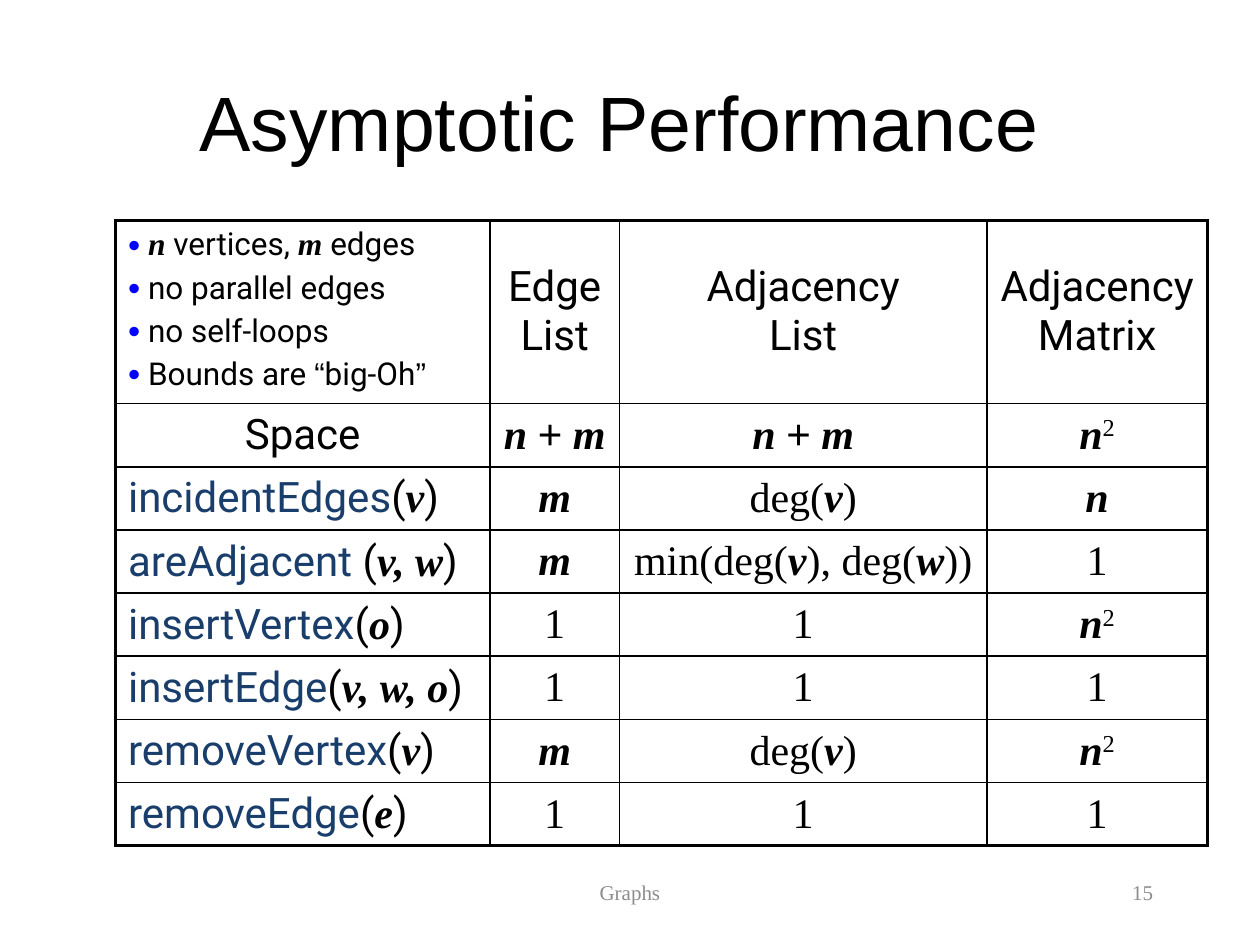
from dataclasses import dataclass

from lxml.etree import SubElement
from pptx import Presentation
from pptx.dml.color import RGBColor as RGB
from pptx.enum.text import MSO_ANCHOR as ANCHOR, PP_ALIGN as ALIGN
from pptx.oxml.ns import qn
from pptx.util import Pt


@dataclass(frozen=True)
class Theme:
    ink: str = "000000"
    method: str = "1A3E6C"
    bullet: str = "0000FF"
    muted: str = "8C8C8C"
    title_size: float = 44
    body_size: float = 24
    note_size: float = 18
    footer_size: float = 12
    sans: str = "Roboto"
    title_font: str = "Arial"
    serif: str = "Times New Roman"
    inner_line: float = 1
    outer_line: float = 2.25


THEME = Theme()


@dataclass(frozen=True)
class Style:
    font: str
    color: str = THEME.ink
    strong: bool = False
    raised: bool = False


LABEL = Style(THEME.sans)
METHOD = Style(THEME.sans, THEME.method)
VARIABLE = Style(THEME.serif, strong=True)
MATH = Style(THEME.serif)
POWER = Style(THEME.serif, raised=True)
SYMBOL = Style(THEME.title_font)
FOOTER = Style(THEME.serif, THEME.muted)

SUM = [("n ", VARIABLE), ("+", SYMBOL), (" m", VARIABLE)]
SQUARE = [("n", VARIABLE), ("2", POWER)]
DEGREE = [("deg(", MATH), ("v", VARIABLE), (")", MATH)]
MIN_DEGREE = [("min(deg(", MATH), ("v", VARIABLE), ("), deg(", MATH),
              ("w", VARIABLE), ("))", MATH)]
ONE = [("1", MATH)]
EDGES = [("m", VARIABLE)]
VERTICES = [("n", VARIABLE)]

ASSUMPTIONS = [
    [("n", VARIABLE), (" vertices, ", LABEL), ("m", VARIABLE), (" edges", LABEL)],
    [("no parallel edges", LABEL)],
    [("no self-loops", LABEL)],
    [("Bounds are ", LABEL), ("“", SYMBOL), ("big-Oh", LABEL), ("”", SYMBOL)],
]
STRUCTURES = ["Edge\nList", "Adjacency\nList", "Adjacency Matrix"]
OPERATIONS = [
    ("incidentEdges", "v", EDGES, DEGREE, VERTICES),
    ("areAdjacent ", "v, w", EDGES, MIN_DEGREE, ONE),
    ("insertVertex", "o", ONE, ONE, SQUARE),
    ("insertEdge", "v, w, o", ONE, ONE, ONE),
    ("removeVertex", "v", EDGES, DEGREE, SQUARE),
    ("removeEdge", "e", ONE, ONE, ONE),
]
COLUMN_WIDTHS = [214, 74, 210, 126]
ROW_HEIGHTS = [103, 36.5] + [35.8] * len(OPERATIONS)


def write(paragraph, pieces, size, align=ALIGN.CENTER):
    """Add (text, style) pieces as runs; a newline becomes a line break."""
    paragraph.alignment = align
    for text, style in pieces:
        for index, line in enumerate(text.split("\n")):
            if index:
                paragraph.add_line_break()
            run = paragraph.add_run()
            run.text = line
            run.font.name = style.font
            run.font.size = Pt(size)
            run.font.bold = run.font.italic = style.strong
            run.font.color.rgb = RGB.from_string(style.color)
            if style.raised:
                run._r.get_or_add_rPr().set("baseline", "30000")


def add_label(slide, box, text, style, size, align=ALIGN.CENTER):
    frame = slide.shapes.add_textbox(*map(Pt, box)).text_frame
    frame.word_wrap = True
    frame.vertical_anchor = ANCHOR.MIDDLE
    write(frame.paragraphs[0], [(text, style)], size, align)


def add_bullet(paragraph):
    properties = paragraph._p.get_or_add_pPr()
    properties.set("marL", str(Pt(11.4)))
    properties.set("indent", str(-Pt(11.4)))
    color = SubElement(properties, qn("a:buClr"))
    SubElement(color, qn("a:srgbClr"), val=THEME.bullet)
    SubElement(properties, qn("a:buSzPct"), val="110000")
    SubElement(properties, qn("a:buFont"), typeface=THEME.title_font)
    SubElement(properties, qn("a:buChar"), char="•")


def write_assumptions(cell):
    cell.vertical_anchor = ANCHOR.TOP
    frame = cell.text_frame
    for index, pieces in enumerate(ASSUMPTIONS):
        paragraph = frame.add_paragraph() if index else frame.paragraphs[0]
        if index:
            paragraph.space_before = Pt(THEME.note_size * 0.2)
        add_bullet(paragraph)
        write(paragraph, pieces, THEME.note_size, ALIGN.LEFT)


def style_cell(cell, row, column):
    """Draw thick lines on the table's outer edge, thin ones inside."""
    outer = {
        "L": column == 0,
        "R": column == len(COLUMN_WIDTHS) - 1,
        "T": row == 0,
        "B": row == len(ROW_HEIGHTS) - 1,
    }
    properties = cell._tc.get_or_add_tcPr()
    for side, is_outer in outer.items():
        width = THEME.outer_line if is_outer else THEME.inner_line
        line = SubElement(properties, qn(f"a:ln{side}"), w=str(Pt(width)))
        fill = SubElement(line, qn("a:solidFill"))
        SubElement(fill, qn("a:srgbClr"), val=THEME.ink)
    cell.fill.background()
    cell.vertical_anchor = ANCHOR.MIDDLE


def method_call(name, arguments):
    return [(name, METHOD), ("(", LABEL), (arguments, VARIABLE), (")", LABEL)]


def add_performance_table(slide):
    table = slide.shapes.add_table(
        len(ROW_HEIGHTS), len(COLUMN_WIDTHS), Pt(66), Pt(126),
        Pt(sum(COLUMN_WIDTHS)), Pt(sum(ROW_HEIGHTS))).table
    table.first_row = table.horz_banding = False
    for column, width in zip(table.columns, COLUMN_WIDTHS):
        column.width = Pt(width)
    for row, height in zip(table.rows, ROW_HEIGHTS):
        row.height = Pt(height)

    contents = [[None] + [[(name, LABEL)] for name in STRUCTURES],
                [[("Space", LABEL)], SUM, SUM, SQUARE]]
    contents += [[method_call(name, arguments), *costs]
                 for name, arguments, *costs in OPERATIONS]
    for r, row in enumerate(contents):
        for c, pieces in enumerate(row):
            cell = table.cell(r, c)
            style_cell(cell, r, c)
            if pieces is None:
                write_assumptions(cell)
            else:
                align = ALIGN.LEFT if c == 0 and r > 1 else ALIGN.CENTER
                write(cell.text_frame.paragraphs[0], pieces, THEME.body_size, align)


def main():
    deck = Presentation()
    deck.slide_width, deck.slide_height = Pt(720), Pt(540)
    slide = deck.slides.add_slide(deck.slide_layouts[6])
    add_label(slide, (246, 492, 228, 36), "Graphs", FOOTER, THEME.footer_size)
    add_label(slide, (516, 492, 150, 36), "15", FOOTER, THEME.footer_size, ALIGN.RIGHT)
    add_label(slide, (48, 24, 612, 90), "Asymptotic Performance", SYMBOL,
              THEME.title_size)
    add_performance_table(slide)
    deck.save("out.pptx")


if __name__ == "__main__":
    main()
